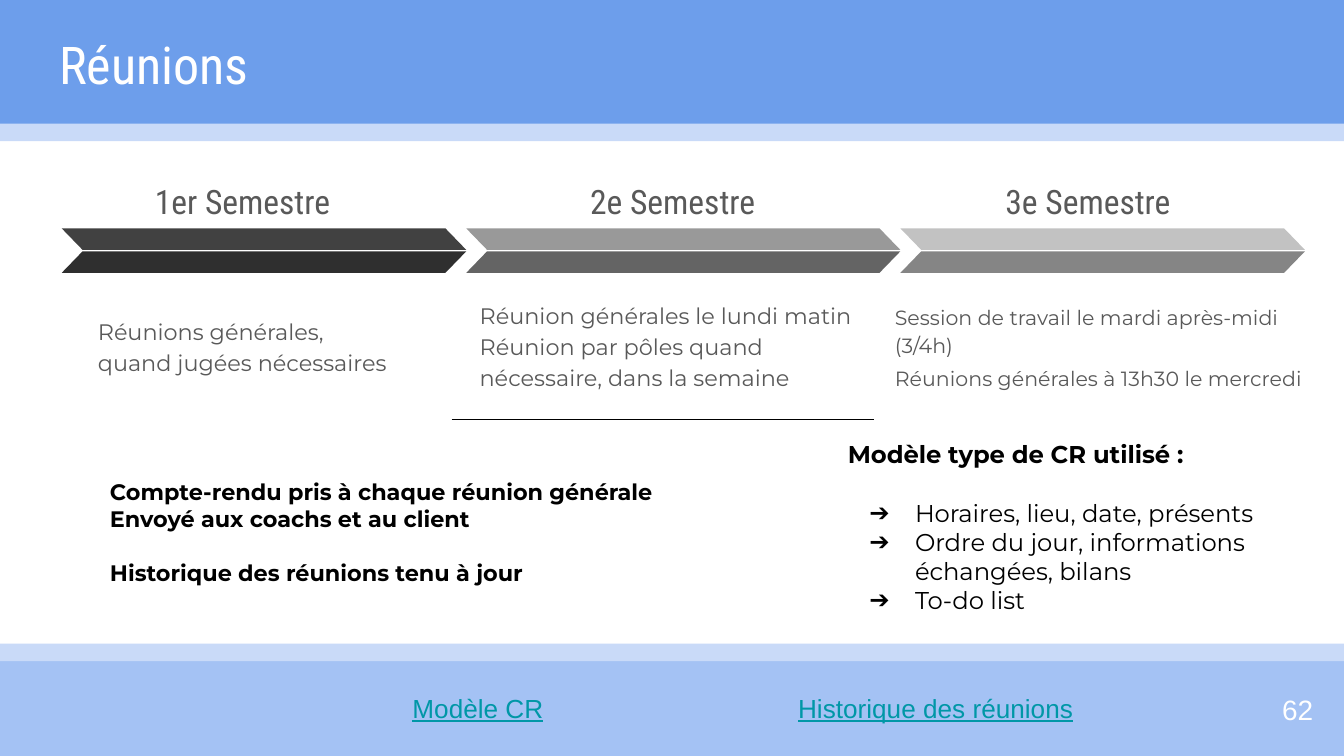
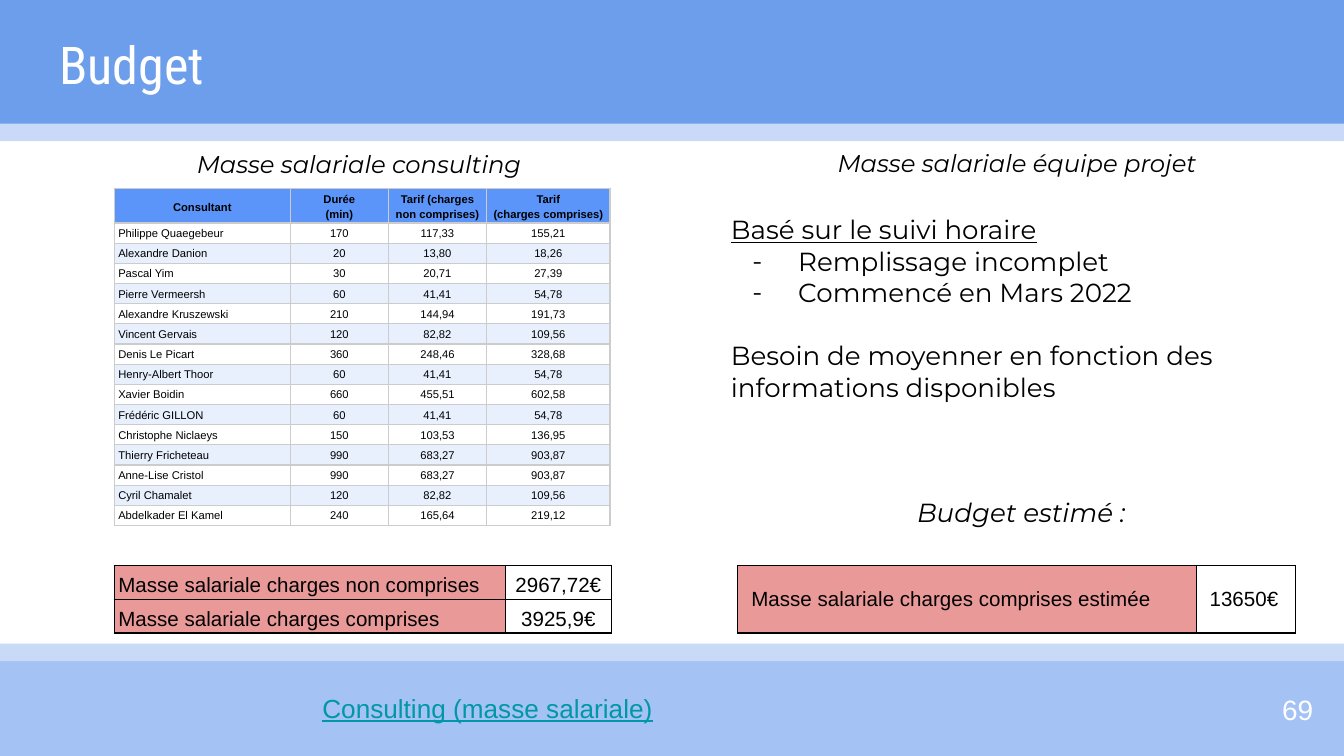
from lxml import etree
from pptx import Presentation
from pptx.dml.color import RGBColor
from pptx.enum.shapes import MSO_CONNECTOR, MSO_SHAPE
from pptx.enum.text import MSO_ANCHOR, MSO_AUTO_SIZE, PP_ALIGN
from pptx.oxml.ns import qn
from pptx.util import Inches, Pt

RECT, PARALLELOGRAM = MSO_SHAPE.RECTANGLE, MSO_SHAPE.PARALLELOGRAM
LEFT, CENTER, RIGHT = PP_ALIGN.LEFT, PP_ALIGN.CENTER, PP_ALIGN.RIGHT
TOP, MIDDLE, BOTTOM = MSO_ANCHOR.TOP, MSO_ANCHOR.MIDDLE, MSO_ANCHOR.BOTTOM
rgb = RGBColor.from_string
ARIAL, MONT, ROBOTO = "Arial", "Montserrat", "Roboto Condensed"
BLACK, WHITE, GREY, LINK = "000000", "FFFFFF", "595959", "0097A7"
SALMON = "EA9999"
BANDS = [
    (-0.03, -0.01, 0.94, "6D9EEB"),
    (-0.01, 4.92, 0.72, "A4C2F4"),
    (-0.01, 4.79, 0.13, "C9DAF8"),
    (-0.03, 0.92, 0.13, "C9DAF8"),
]


def write(tf, lines, font, size, color=BLACK, align=LEFT, spacing=None, after=None,
          bold=False, italic=False, underline=False):
    for i, line in enumerate(lines):
        text, opts = line if isinstance(line, tuple) else (line, {})
        p = tf.paragraphs[0] if i == 0 else tf.add_paragraph()
        if "bullet" in opts:
            pPr = p._p.get_or_add_pPr()
            pPr.set("marL", str(Inches(0.5)))
            pPr.set("indent", str(-Inches(0.34)))
            clr = etree.SubElement(pPr, qn("a:buClr"))
            etree.SubElement(clr, qn("a:srgbClr")).set("val", BLACK)
            etree.SubElement(pPr, qn("a:buSzPts")).set("val", str(size * 100))
            etree.SubElement(pPr, qn("a:buFont")).set("typeface", font)
            etree.SubElement(pPr, qn("a:buChar")).set("char", opts["bullet"])
        p.alignment = opts.get("align", align)
        if spacing:
            p.line_spacing = spacing
        if "before" in opts:
            p.space_before = Pt(opts["before"])
        if after:
            p.space_after = Pt(after)
        for k, part in enumerate(text.split("\n")):
            if k:
                p.add_line_break()
            r = p.add_run()
            r.text = part
            r.font.name = font
            r.font.size = Pt(size)
            r.font.color.rgb = rgb(color)
            r.font.bold = opts.get("bold", bold)
            r.font.italic = opts.get("italic", italic)
            r.font.underline = opts.get("underline", underline)
        if "tail" in opts:
            r = p.add_run()
            r.text = " "
            r.font.name, tail_size = opts["tail"]
            r.font.size = Pt(tail_size)
            r.font.color.rgb = rgb(color)


def add_text(s, x, y, w, h, lines, font, size, anchor=TOP, **style):
    tf = s.shapes.add_textbox(Inches(x), Inches(y), Inches(w), Inches(h)).text_frame
    tf.word_wrap = True
    tf.vertical_anchor = anchor
    tf.margin_left = tf.margin_right = tf.margin_top = tf.margin_bottom = Inches(0.1)
    write(tf, lines, font, size, **style)


prs = Presentation()
prs.slide_width = Inches(10)
prs.slide_height = Inches(10) * 9 // 16

for title, number in [("Réunions", "62"), ("Budget", "69")]:
    s = prs.slides.add_slide(prs.slide_layouts[5])
    for x, y, h, color in BANDS:
        sp = s.shapes.add_shape(RECT, Inches(x), Inches(y), Inches(10.07), Inches(h))
        sp.shadow.inherit = False
        sp.fill.solid()
        sp.fill.fore_color.rgb = rgb(color)
        sp.line.fill.background()
    sp = s.shapes.title
    s.shapes.element.append(sp.element)
    sp.left, sp.top, sp.width, sp.height = Inches(0.34), Inches(0.14), Inches(9.32), Inches(0.63)
    tf = sp.text_frame
    tf.auto_size = MSO_AUTO_SIZE.NONE
    tf.vertical_anchor = TOP
    tf.margin_left = tf.margin_right = tf.margin_top = tf.margin_bottom = Inches(0.1)
    write(tf, [title], ROBOTO, 27.9, WHITE)
    add_text(s, 9.27, 5.06, 0.6, 0.43, [number], ARIAL, 15, anchor=MIDDLE, color=WHITE, align=RIGHT)

meetings, budget = prs.slides

for x, w, label_x, label, top_color, bottom_color in [
    (0.46, 3.01, 0.95, "1er Semestre", "414141", "2F2F2F"),
    (3.47, 3.23, 4.15, "2e Semestre", "999999", "646464"),
    (6.7, 3.01, 7.24, "3e Semestre", "C2C2C2", "858585"),
]:
    arrow = meetings.shapes.add_group_shape()
    for y, color in [(1.7, top_color), (1.87, bottom_color)]:
        sp = arrow.shapes.add_shape(PARALLELOGRAM, Inches(x), Inches(y), Inches(w), Inches(0.16))
        sp.adjustments[0] = 0.97
        sp.shadow.inherit = False
        sp.fill.solid()
        sp.fill.fore_color.rgb = rgb(color)
        sp.line.fill.background()
        if color == top_color:
            sp.element.spPr.xfrm.set("flipH", "1")
    add_text(meetings, label_x, 1.2, 1.71, 0.5, [label], ROBOTO, 18,
             color=GREY, align=CENTER, spacing=1.15, after=12)

for x, y, w, h, size, lines in [
    (0.63, 2.24, 2.43, 0.64, 12, ["Réunions générales, quand jugées nécessaires"]),
    (3.47, 2.12, 3.01, 0.87, 12, [
        "Réunion générales le lundi matin\nRéunion par pôles quand\nnécessaire, dans la semaine"]),
    (6.56, 2.14, 3.49, 0.85, 11, [
        ("Session de travail le mardi après-midi (3/4h)\nRéunions générales à 13h30 le mercredi",
         {"tail": (ARIAL, 13)})]),
]:
    add_text(meetings, x, y, w, h, lines, MONT, size, color=GREY, spacing=1.15, after=12)

line = meetings.shapes.add_connector(
    MSO_CONNECTOR.STRAIGHT, Inches(3.36), Inches(3.12), Inches(6.5), Inches(3.12))
line.line.color.rgb = rgb(BLACK)
line.line.width = Pt(0.75)
etree.SubElement(line.element.spPr, qn("a:effectLst"))

add_text(meetings, 0.72, 3.46, 4.5, 1.01, [
    "Compte-rendu pris à chaque réunion générale\nEnvoyé aux coachs et au client",
    ("Historique des réunions tenu à jour", {"before": 14.6}),
], MONT, 12, bold=True)
add_text(meetings, 6.21, 3.17, 3.28, 1.52, [
    ("Modèle type de CR utilisé :", {"bold": True}),
    ("Horaires, lieu, date, présents", {"bullet": "➔", "before": 15.8}),
    ("Ordre du jour, informations échangées, bilans", {"bullet": "➔"}),
    ("To-do list", {"bullet": "➔"}),
], MONT, 13)

for s, x, w, label in [
    (meetings, 2.97, 1.28, "Modèle CR"),
    (meetings, 5.84, 2.33, "Historique des réunions"),
    (budget, 2.3, 2.67, "Consulting (masse salariale)"),
]:
    add_text(s, x, 5.05, w, 0.44, [label], ARIAL, 14, color=LINK, underline=True)

for x, heading in [
    (1.25, ("Masse salariale consulting", {"tail": (MONT, 14)})),
    (6.12, "Masse salariale équipe projet"),
]:
    add_text(budget, x, 1, 2.89, 0.42, [heading], MONT, 13, align=CENTER, italic=True)
add_text(budget, 5.34, 1.49, 4.52, 2.79, [
    ("Basé sur le suivi horaire", {"underline": True, "tail": (MONT, 14)}),
    ("Remplissage incomplet", {"bullet": "-"}),
    ("Commencé en Mars 2022", {"bullet": "-"}),
    ("Besoin de moyenner en fonction des informations disponibles", {"before": 17}),
    ("Budget estimé :", {"before": 50.5, "align": CENTER, "italic": True}),
], MONT, 14)

consultants = [
    ("Consultant", "Durée\n(min)", "Tarif (charges non comprises)", "Tarif\n(charges comprises)"),
    ("Philippe Quaegebeur", "170", "117,33", "155,21"),
    ("Alexandre Danion", "20", "13,80", "18,26"),
    ("Pascal Yim", "30", "20,71", "27,39"),
    ("Pierre Vermeersh", "60", "41,41", "54,78"),
    ("Alexandre Kruszewski", "210", "144,94", "191,73"),
    ("Vincent Gervais", "120", "82,82", "109,56"),
    ("Denis Le Picart", "360", "248,46", "328,68"),
    ("Henry-Albert Thoor", "60", "41,41", "54,78"),
    ("Xavier Boidin", "660", "455,51", "602,58"),
    ("Frédéric GILLON", "60", "41,41", "54,78"),
    ("Christophe Niclaeys", "150", "103,53", "136,95"),
    ("Thierry Fricheteau", "990", "683,27", "903,87"),
    ("Anne-Lise Cristol", "990", "683,27", "903,87"),
    ("Cyril Chamalet", "120", "82,82", "109,56"),
    ("Abdelkader El Kamel", "240", "165,64", "219,12"),
]
totals = [
    ("Masse salariale charges non comprises", "2967,72€"),
    ("Masse salariale charges comprises", "3925,9€"),
]
estimate = [("Masse salariale charges comprises estimée", "13650€")]

for x, y, cols, heights, rows, size, anchor, margins, spacing, border in [
    (0.85, 1.4, [1.31, 0.73, 0.73, 0.92], [0.26] + [0.15] * 15, consultants,
     6, TOP, (0.03, 0.02, 0.01), 1.15, "CCCCCC"),
    (0.85, 4.21, [2.91, 0.79], [0.25] * 2, totals, 11, BOTTOM, (0.03, 0.02, 0.02), 1.15, BLACK),
    (5.49, 4.21, [3.41, 0.74], [0.5], estimate, 11, MIDDLE, (0.1, 0.1, 0.1), None, BLACK),
]:
    table = budget.shapes.add_table(len(rows), len(cols), Inches(x), Inches(y),
                                    Inches(sum(cols)), Inches(sum(heights))).table
    table.first_row = table.horz_banding = False
    for col, w in zip(table.columns, cols):
        col.width = Inches(w)
    for i, row in enumerate(rows):
        table.rows[i].height = Inches(heights[i])
        for j, text in enumerate(row):
            cell = table.cell(i, j)
            header = rows is consultants and i == 0
            if rows is consultants:
                fill = "5B95F9" if header else (WHITE if i % 2 else "E8F0FE")
            else:
                fill = SALMON if j == 0 else None
            if fill:
                cell.fill.solid()
                cell.fill.fore_color.rgb = rgb(fill)
            else:
                cell.fill.background()
            cell.vertical_anchor = MIDDLE if header else anchor
            cell.margin_left = cell.margin_right = Inches(margins[0])
            cell.margin_top, cell.margin_bottom = Inches(margins[1]), Inches(margins[2])
            centered = header or (j > 0 and rows is not estimate)
            write(cell.text_frame, text.split("\n"), ARIAL, size, spacing=spacing,
                  align=CENTER if centered else LEFT, bold=header)
            tcPr = cell._tc.get_or_add_tcPr()
            for k, side in enumerate(["a:lnL", "a:lnR", "a:lnT", "a:lnB"]):
                ln = etree.Element(qn(side), w=str(Pt(0.75)))
                clr = etree.SubElement(etree.SubElement(ln, qn("a:solidFill")), qn("a:srgbClr"))
                clr.set("val", border)
                tcPr.insert(k, ln)

prs.save("out.pptx")
